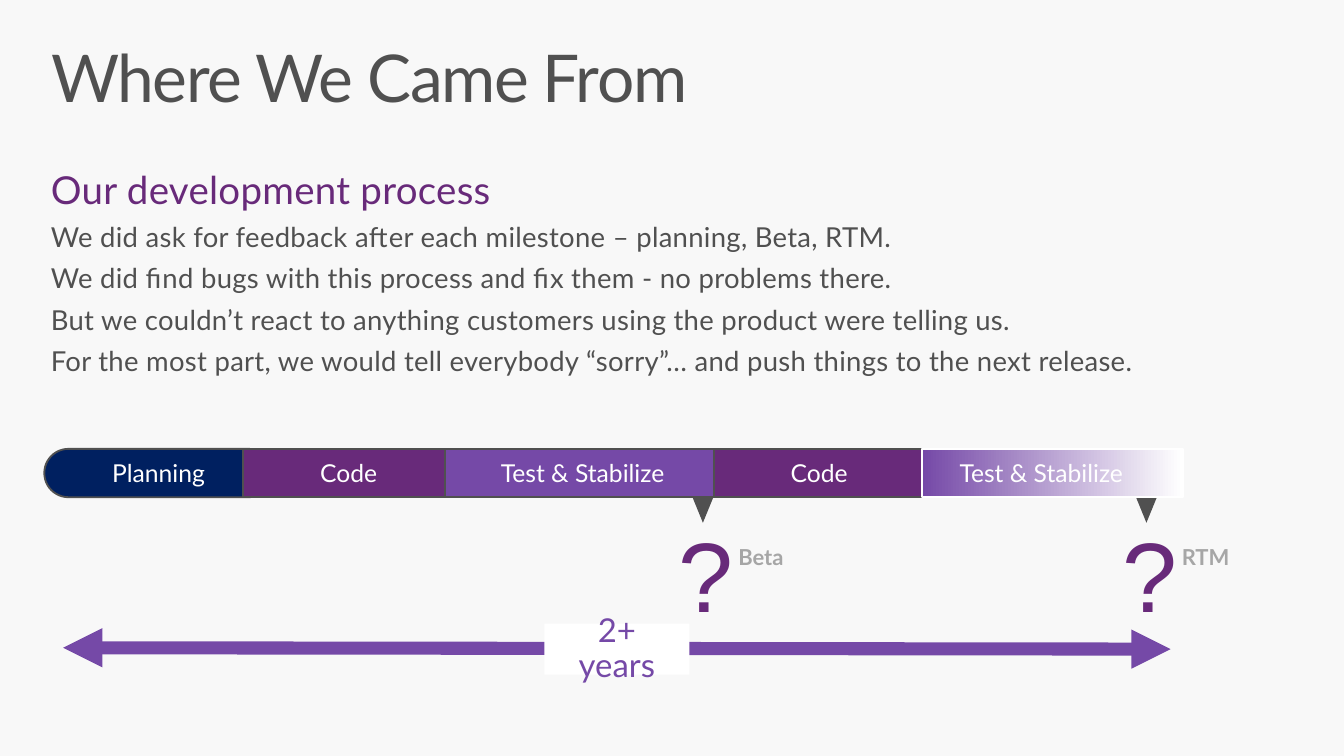
from lxml import etree
from pptx import Presentation, util as u
from pptx.dml.color import RGBColor
from pptx.enum import shapes, text
from pptx.oxml.ns import qn

WIDTH = u.Inches(10)
HEIGHT = WIDTH * 9 // 16
COLUMNS = 100
ROWS = COLUMNS * 9 / 16
COLORS = {
    "background": "F8F8F8", "gray": "505050", "label": "A6A6A6", "navy": "002060",
    "plum": "682A7A", "violet": "7549A7", "white": "FFFFFF",
}
SHAPE = shapes.MSO_SHAPE


def color(name):
    return RGBColor.from_string(COLORS[name])


def grid(box, left, top, width, height):
    return (
        round((box[0] + left) * WIDTH / COLUMNS), round((box[1] + top) * HEIGHT / ROWS),
        round(width * WIDTH / COLUMNS), round(height * HEIGHT / ROWS),
    )


def write(shape, content, size, ink, font="Lato", bold=False, align=text.PP_ALIGN.LEFT,
          anchor=text.MSO_ANCHOR.TOP, wrap=True, line_spacing=1.0, before=0,
          tracking=0, first=True):
    frame = shape.text_frame
    frame.word_wrap = wrap
    frame.vertical_anchor = anchor
    paragraph = frame.paragraphs[0] if first else frame.add_paragraph()
    paragraph.alignment = align
    paragraph.line_spacing = line_spacing
    paragraph.space_before = u.Pt(before)
    run = paragraph.add_run()
    run.text = content
    run.font.size = u.Pt(size)
    run.font.name = font
    run.font.bold = bold
    run.font.color.rgb = color(ink)
    if tracking:
        run.font._element.set("spc", str(round(tracking * 100)))


def add_text(slide, area, content, size, ink, **style):
    shape = slide.shapes.add_textbox(*area)
    write(shape, content, size, ink, **style)
    return shape


def add_block(slide, kind, area, fill, line=None):
    shape = slide.shapes.add_shape(kind, *area)
    shape.shadow.inherit = False
    if isinstance(fill, tuple):
        shape.fill.gradient()
        shape.fill.gradient_angle = 0
        for stop, name, position in zip(shape.fill.gradient_stops, fill, (0, 1)):
            stop.color.rgb = color(name)
            stop.position = position
    else:
        shape.fill.solid()
        shape.fill.fore_color.rgb = color(fill)
    if line:
        shape.line.color.rgb = color(line)
        shape.line.width = u.Pt(1)
    else:
        shape.line.fill.background()
    return shape


def add_title(slide, box):
    title = add_text(slide, grid(box, 0, 0, 95.6, 7.4), "Where We Came From", 35.3, "gray",
                     line_spacing=0.9, tracking=-0.75)
    title.text_frame.margin_left = title.text_frame.margin_right = u.Inches(0.16)
    title.text_frame.margin_top = title.text_frame.margin_bottom = u.Inches(0.1)


def add_body(slide, box):
    body = add_text(slide, grid(box, 0, 0, 84.5, 17.7), "Our development process", 20.6, "plum",
                    line_spacing=1.25, tracking=0.13)
    for sentence in (
        "We did ask for feedback after each milestone – planning, Beta, RTM.",
        "We did find bugs with this process and fix them - no problems there.",
        "But we couldn’t react to anything customers using the product were telling us.",
        "For the most part, we would tell everybody “sorry”… and push things to the next release.",
    ):
        write(body, sentence, 14.7, "gray", line_spacing=1.25, tracking=0.13, first=False)


def add_milestone(slide, box, name):
    pointer = add_block(slide, SHAPE.ISOSCELES_TRIANGLE, grid(box, 1.9, 0, 1.8, 2.2), "gray")
    pointer._element.spPr.find(qn("a:xfrm")).set("flipV", "1")
    add_text(slide, grid(box, 4.45, 3.25, 6.5, 3), name, 11.8, "label", bold=True)
    add_text(slide, grid(box, 0, 1, 6.2, 9.9), "?", 52.9, "plum", font="Arial", wrap=False)


def add_phases(slide, box):
    phases = (
        ("Planning", 0, 17, "navy", "gray", 0.5),
        ("Code", 14.8, 15.7, "plum", "gray", 0),
        ("Test & Stabilize", 29.8, 20.5, "violet", "gray", 0),
        ("Code", 49.8, 15.7, "plum", "gray", 0),
        ("Test & Stabilize", 65.3, 19.4, ("violet", "white"), "white", 0),
    )
    for name, left, width, fill, line, rounding in phases:
        phase = add_block(slide, SHAPE.ROUNDED_RECTANGLE, grid(box, left, 0, width, 3.6), fill, line)
        phase.adjustments[0] = rounding
        fades = isinstance(fill, tuple)
        write(phase, name, 13.2, "white", anchor=text.MSO_ANCHOR.MIDDLE,
              align=text.PP_ALIGN.LEFT if fades else text.PP_ALIGN.CENTER)
        if fades:
            phase.text_frame.margin_left = u.Inches(0.28)


def add_duration(slide, box):
    left, top, width, height = grid(box, 0, 1.8, 82.4, 0.1)
    arrow = slide.shapes.add_connector(shapes.MSO_CONNECTOR.STRAIGHT, left, top,
                                       left + width, top + height)
    arrow.line.color.rgb = color("violet")
    arrow.line.width = u.Pt(7)
    outline = arrow.line._get_or_add_ln()
    for end in ("a:headEnd", "a:tailEnd"):
        etree.SubElement(outline, qn(end), type="triangle")
    etree.SubElement(arrow._element.spPr, qn("a:effectLst"))
    label = add_block(slide, SHAPE.RECTANGLE, grid(box, 35.8, 0, 10.8, 3.8), "white")
    write(label, "2+ years", 17.6, "violet", align=text.PP_ALIGN.CENTER,
          anchor=text.MSO_ANCHOR.MIDDLE, line_spacing=0.9, before=3.5)


def main():
    presentation = Presentation()
    presentation.slide_width, presentation.slide_height = WIDTH, HEIGHT
    slide = presentation.slides.add_slide(presentation.slide_layouts[6])
    slide.background.fill.solid()
    slide.background.fill.fore_color.rgb = color("background")
    add_title(slide, (2.2, 2.4))
    add_milestone(slide, (49.5, 36.7), "Beta")
    add_milestone(slide, (82.5, 36.7), "RTM")
    add_phases(slide, (3.3, 33.4))
    add_duration(slide, (4.7, 46.4))
    add_body(slide, (2.8, 11))
    presentation.save("out.pptx")


if __name__ == "__main__":
    main()
